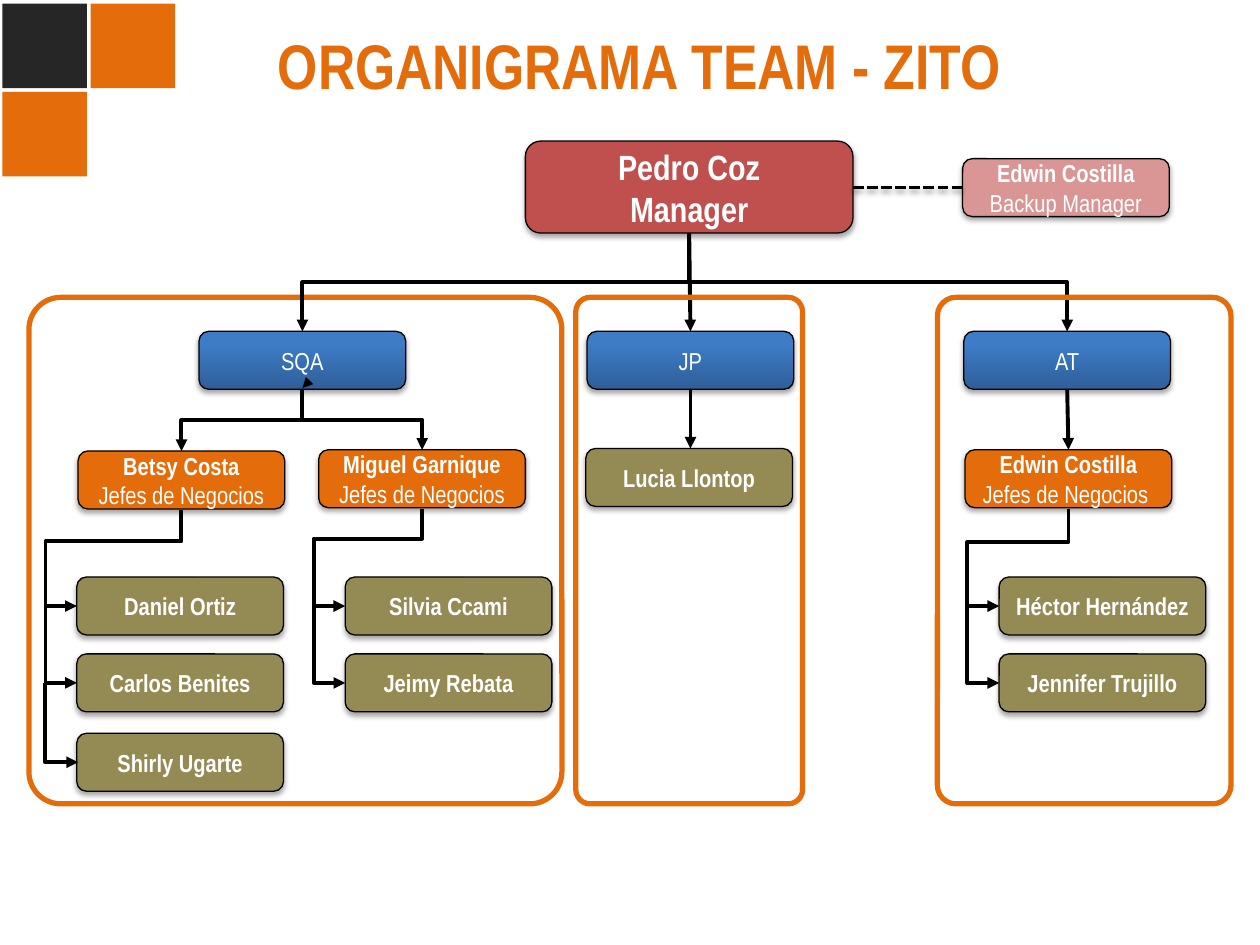
from lxml import etree
from pptx import Presentation
from pptx.dml.color import RGBColor
from pptx.enum.dml import MSO_LINE
from pptx.enum.shapes import MSO_CONNECTOR, MSO_SHAPE
from pptx.enum.text import MSO_ANCHOR, PP_ALIGN
from pptx.oxml.ns import qn
from pptx.util import Inches, Pt

RECTANGLE, ROUNDED = MSO_SHAPE.RECTANGLE, MSO_SHAPE.ROUNDED_RECTANGLE
STRAIGHT, ELBOW = MSO_CONNECTOR.STRAIGHT, MSO_CONNECTOR.ELBOW
CENTER, MIDDLE, DASH = PP_ALIGN.CENTER, MSO_ANCHOR.MIDDLE, MSO_LINE.SQUARE_DOT

ORANGE, BLACK, CHARCOAL, WHITE = "E46C0A", "000000", "262626", "FFFFFF"
RED, PINK, OLIVE = "C0504D", "D99694", "948A54"
BLUE = ("2F5F99", "3D7CC7")
BOX_WIDTH, BOX_HEIGHT = 1.64, 0.46
AREA_TOP, LEAD_TOP = 2.63, 3.57
MEMBER_ROWS = (4.58, 5.19, 5.82)
ROLE = "Jefes de Negocios"


def color(value):
    return RGBColor.from_string(value)


class OrganizationChart:
    """Draws the elements of an organization chart on one slide."""

    font = "Arial Narrow"

    def __init__(self, slide):
        self.slide = slide

    def fill_text(self, frame, paragraphs, size):
        frame.word_wrap = True
        for index, runs in enumerate(paragraphs):
            paragraph = frame.paragraphs[0] if index == 0 else frame.add_paragraph()
            paragraph.alignment = CENTER
            for text, bold, ink in runs:
                run = paragraph.add_run()
                run.text = text
                for name, value in {"name": self.font, "size": Pt(size), "bold": bold}.items():
                    setattr(run.font, name, value)
                run.font.color.rgb = color(ink)

    def title(self, text, left, top, width, height):
        box = self.slide.shapes.add_textbox(*map(Inches, (left, top, width, height)))
        self.fill_text(box.text_frame, [[(text, True, ORANGE)]], 36)

    def block(self, kind, left, top, width, height):
        shape = self.slide.shapes.add_shape(kind, *map(Inches, (left, top, width, height)))
        shape.shadow.inherit = False
        return shape

    def square(self, left, top, fill):
        shape = self.block(RECTANGLE, left, top, 0.67, 0.67)
        shape.fill.solid()
        shape.fill.fore_color.rgb = color(fill)
        shape.line.fill.background()

    def panel(self, left, width):
        shape = self.block(ROUNDED, left, 2.36, width, 4.02)
        shape.adjustments[0] = 0.063
        shape.fill.background()
        shape.line.color.rgb = color(ORANGE)
        shape.line.width = Pt(3)

    def shadow(self, shape):
        effects = shape._element.spPr.find(qn("a:effectLst"))
        outer = etree.SubElement(effects, qn("a:outerShdw"), blurRad=str(Pt(3.1)),
                                 dist=str(Pt(1.8)), dir="5400000", rotWithShape="0")
        ink = etree.SubElement(outer, qn("a:srgbClr"), val=BLACK)
        etree.SubElement(ink, qn("a:alpha"), val="35000")

    def box(self, left, top, paragraphs, fill, width=BOX_WIDTH, height=BOX_HEIGHT, size=14):
        shape = self.block(ROUNDED, left, top, width, height)
        if fill == BLUE:
            shape.fill.gradient()
            shape.fill.gradient_angle = 90
            for stop, shade, position in zip(shape.fill.gradient_stops, fill, (0, 0.8)):
                stop.color.rgb = color(shade)
                stop.position = position
        else:
            shape.fill.solid()
            shape.fill.fore_color.rgb = color(fill)
        shape.line.color.rgb = color(BLACK)
        shape.line.width = Pt(0.75)
        self.shadow(shape)
        shape.text_frame.vertical_anchor = MIDDLE
        self.fill_text(shape.text_frame,
                       [[(text, bold, WHITE) for text, bold in runs] for runs in paragraphs], size)

    def connector(self, kind, start, end, weight=2.25, dash=None):
        connector = self.slide.shapes.add_connector(kind, *map(Inches, (*start, *end)))
        connector.line.color.rgb = color(BLACK)
        connector.line.width = Pt(weight)
        etree.SubElement(connector._element.spPr, qn("a:effectLst"))
        if dash:
            connector.line.dash_style = dash
            self.shadow(connector)
        else:
            line = connector._element.spPr.find(qn("a:ln"))
            etree.SubElement(line, qn("a:tailEnd"), type="triangle")
        return connector

    def elbow(self, start, end, preset="bentConnector3", adjustments=()):
        (x1, y1), (x2, y2) = start, end
        middle_x, middle_y = (x1 + x2) / 2, (y1 + y2) / 2
        half_height = abs(x2 - x1) / 2
        half_width = (y2 - y1) / 2 if x2 < x1 else (y1 - y2) / 2
        connector = self.connector(ELBOW, (middle_x - half_width, middle_y - half_height),
                                   (middle_x + half_width, middle_y + half_height))
        properties = connector._element.spPr
        properties.find(qn("a:xfrm")).set("rot", "5400000" if x2 < x1 else "16200000")
        geometry = properties.find(qn("a:prstGeom"))
        geometry.set("prst", preset)
        for number, share in enumerate(adjustments, 1):
            etree.SubElement(geometry.find(qn("a:avLst")), qn("a:gd"),
                             name=f"adj{number}", fmla=f"val {round(share * 100000)}")


def main():
    presentation = Presentation()
    presentation.slide_width, presentation.slide_height = Inches(10), Inches(7.5)
    chart = OrganizationChart(presentation.slides.add_slide(presentation.slide_layouts[6]))

    for left, top, fill in ((0.02, 0.03, CHARCOAL), (0.02, 0.73, ORANGE), (0.72, 0.03, ORANGE)):
        chart.square(left, top, fill)
    chart.title("ORGANIGRAMA TEAM - ZITO", 2.03, 0.16, 6.09, 0.63)
    chart.panel(0.23, 4.23)

    manager = (5.47, 1.85)
    chart.box(4.17, 1.12, [[("Pedro Coz", True)], [("Manager", True)]], RED, 2.6, 0.73, 20)
    for center in (8.47, 2.4):
        chart.elbow(manager, (center, AREA_TOP))
    chart.connector(STRAIGHT, manager, (5.48, AREA_TOP))

    for left, name in ((4.66, "JP"), (7.65, "AT"), (1.58, "SQA")):
        chart.box(left, AREA_TOP, [[(name, False)]], BLUE)
    for start, end in (((5.48, 3.09), (5.48, 3.56)), ((8.47, 3.09), (8.48, LEAD_TOP))):
        chart.connector(STRAIGHT, start, end)
    chart.connector(STRAIGHT, (2.41, 3.07), (2.4, 3.08), 0.75)

    chart.box(7.66, LEAD_TOP, [[("Edwin Costilla", True), (f" {ROLE} ", False)]], ORANGE)
    for left, top, name in ((0.62, 3.58, "Betsy Costa"), (2.53, LEAD_TOP, "Miguel Garnique")):
        chart.box(left, top, [[(name, True)], [(ROLE, False)]], ORANGE)
        chart.elbow((2.4, 3.09), (left + BOX_WIDTH / 2, top))

    teams = (
        (0.61, ("Daniel Ortiz", "Carlos Benites", "Shirly Ugarte")),
        (2.74, ("Silvia Ccami", "Jeimy Rebata")),
        (7.93, ("Héctor Hernández", "Jennifer Trujillo")),
    )
    for left, names in teams:
        for top, name in zip(MEMBER_ROWS, names):
            chart.box(left, top, [[(name, True)]], OLIVE)
    chart.box(4.65, 3.56, [[("Lucia Llontop", True)]], OLIVE)

    branches = (
        ((1.44, 4.05), 0.61, 0.36, (0.18, 1.3)),
        ((3.35, 4.04), 2.74, 2.48, (0.17, 1.41)),
        ((8.48, 4.04), 7.93, 7.66, (0.19, 1.46)),
    )
    for start, left, rail, adjustments in branches:
        chart.elbow(start, (left, 5.42), "bentConnector4", adjustments)
        chart.connector(STRAIGHT, (rail, 4.81), (left, 4.81))
    chart.elbow((0.36, 5.42), (0.62, 6.05), "bentConnector2")

    for left, width in ((4.57, 1.8), (7.44, 2.33)):
        chart.panel(left, width)
    chart.box(7.64, 1.26, [[("Edwin Costilla ", True), ("Backup Manager", False)]], PINK)
    chart.connector(STRAIGHT, (6.77, 1.49), (7.64, 1.49), 2, DASH)

    presentation.save("out.pptx")


if __name__ == "__main__":
    main()
